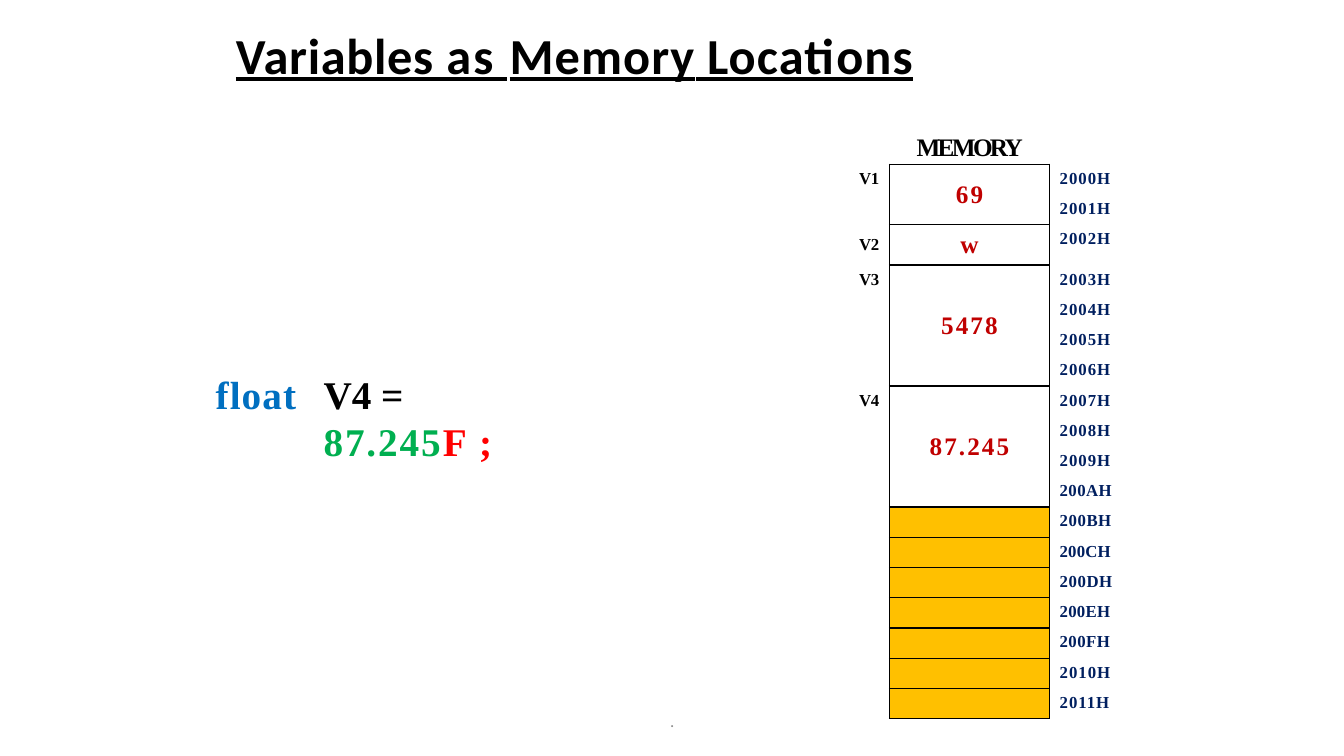
from lxml import etree
from pptx import Presentation
from pptx.dml.color import RGBColor
from pptx.enum.text import MSO_ANCHOR, PP_ALIGN
from pptx.oxml.ns import qn
from pptx.util import Inches, Pt

LEFT, CENTER = PP_ALIGN.LEFT, PP_ALIGN.CENTER
TOP, MIDDLE = MSO_ANCHOR.TOP, MSO_ANCHOR.MIDDLE

BLACK = RGBColor(0x00, 0x00, 0x00)
GRAY = RGBColor(0x8C, 0x8C, 0x8C)
BLUE = RGBColor(0x00, 0x6F, 0xC0)
GREEN = RGBColor(0x00, 0xAF, 0x50)
RED = RGBColor(0xFF, 0x00, 0x00)
VALUE_RED = RGBColor(0xC0, 0x00, 0x00)
NAVY = RGBColor(0x00, 0x1F, 0x5F)
AMBER = RGBColor(0xFF, 0xC0, 0x00)

SERIF, SANS = "Times New Roman", "Calibri"
PLAIN_TABLE = "{2D5ABB26-0587-4C30-8999-92F81FD0307C}"

# The page is a grid of 40 columns by 25 rows; one row holds one memory byte
WIDTH, HEIGHT = Inches(13.33), Inches(7.5)
COLUMN, ROW = WIDTH / 40, HEIGHT / 25

# Variable name, value and the first row and row count of its storage
VARIABLES = [("V1", "69", 1, 2), ("V2", "w", 3, 1),
             ("V3", "5478", 4, 4), ("V4", "87.245", 8, 4)]
FREE_ROWS = range(12, 19)
TALL_ROW = 3
# Addresses and their letter spacing
ADDRESSES = [(f"200{digit}H", 0.7) for digit in range(10)]
ADDRESSES += [("200AH", 0.3), ("200BH", 0.4), ("200CH", 0.1), ("200DH", 0.4),
              ("200EH", 0.2), ("200FH", 0.3), ("2010H", 0.7), ("2011H", 0.7)]


def add_span(para, text, size=12, color=BLACK, font=SERIF, bold=True,
             underline=None, spacing=0):
    """Append formatted text to a paragraph; spacing is in points."""
    span = para.add_run()
    span.text = text
    span.font.name, span.font.size = font, Pt(size)
    span.font.bold, span.font.underline = bold, underline
    span.font.color.rgb = color
    if spacing:
        span.font._element.set("spc", str(round(spacing * 100)))


class Page:
    def __init__(self, deck):
        self.slide = deck.slides.add_slide(deck.slide_layouts[5])

    def place(self, shape, left, top, width, height):
        shape.left, shape.top = round(left * COLUMN), round(top * ROW)
        shape.width, shape.height = round(width * COLUMN), round(height * ROW)

    def fill_text(self, shape, spans, align, anchor, **style):
        frame = shape.text_frame
        frame.word_wrap = True
        frame.vertical_anchor = anchor
        frame.margin_left = frame.margin_right = frame.margin_bottom = 0
        frame.margin_top = Inches(0.01)
        para = frame.paragraphs[0]
        para.alignment = align
        for text, changes in spans:
            add_span(para, text, **{**style, **changes})

    def title(self, spans, *area, **style):
        self.place(self.slide.shapes.title, *area)
        self.fill_text(self.slide.shapes.title, spans, LEFT, MIDDLE, **style)

    def text(self, spans, *area, align=LEFT, anchor=TOP, **style):
        box = self.slide.shapes.add_textbox(0, 0, 0, 0)
        self.place(box, *area)
        self.fill_text(box, spans, align, anchor, **style)

    def table(self, left, top, widths, heights):
        frame = self.slide.shapes.add_table(
            len(heights), len(widths), round(left * COLUMN), round(top * ROW),
            round(sum(widths) * COLUMN), round(sum(heights) * ROW))
        table = frame.table
        table.first_row = table.horz_banding = False
        frame._element.find(f".//{qn('a:tableStyleId')}").text = PLAIN_TABLE
        for column, width in zip(table.columns, widths):
            column.width = round(width * COLUMN)
        for row, height in zip(table.rows, heights):
            row.height = round(height * ROW)
        for cell in table.iter_cells():
            cell.margin_left = cell.margin_right = 0
            cell.margin_top = cell.margin_bottom = 0
            cell.fill.background()
            # Small end mark, so that empty cells keep their row height
            mark = etree.SubElement(cell.text_frame.paragraphs[0]._p,
                                    qn("a:endParaRPr"))
            mark.set("sz", "1000")
        return table

    def cell_text(self, cell, text, align=LEFT, anchor=TOP, indent=0, inset=0,
                  **style):
        cell.vertical_anchor = anchor
        cell.margin_top, cell.margin_left = Inches(inset), Inches(indent)
        para = cell.text_frame.paragraphs[0]
        para.alignment = align
        add_span(para, text, **style)

    def cell_borders(self, cell, sides):
        properties = cell._tc.get_or_add_tcPr()
        for index, side in enumerate(sides):
            line = etree.Element(qn(f"a:ln{side}"), w=str(Pt(1)))
            fill = etree.SubElement(line, qn("a:solidFill"))
            etree.SubElement(fill, qn("a:srgbClr"), val=str(BLACK))
            properties.insert(index, line)


def draw_memory(page):
    heights = [1] * (len(ADDRESSES) + 1)
    heights[TALL_ROW] = 4 / 3
    table = page.table(25.15, 4.43, [1.32, 4.77, 2.31], heights)

    # Heading
    table.cell(0, 0).merge(table.cell(0, 2))
    page.cell_text(table.cell(0, 0), "MEMORY", indent=0.71, size=18,
                   spacing=-1.9)

    # Variables: name and stored value
    for name, value, first, count in VARIABLES:
        last = first + count - 1
        single = count == 1
        page.cell_text(table.cell(first, 0), name, align=CENTER, indent=0.04,
                       anchor=MIDDLE if single else TOP,
                       inset=0 if single else 0.05, spacing=-0.1)
        for row in range(first, last + 1):
            sides = ["L", "R"] + ["T"] * (row == first) + ["B"] * (row == last)
            page.cell_borders(table.cell(row, 1), sides)
        if not single:
            table.cell(first, 1).merge(table.cell(last, 1))
        page.cell_text(table.cell(first, 1), value, align=CENTER,
                       anchor=MIDDLE, size=18, color=VALUE_RED,
                       spacing=0 if single else 1.5)

    # Free bytes
    for row in FREE_ROWS:
        cell = table.cell(row, 1)
        page.cell_borders(cell, ["L", "R", "T", "B"])
        cell.fill.solid()
        cell.fill.fore_color.rgb = AMBER

    # Addresses
    for row, (address, spacing) in enumerate(ADDRESSES, start=1):
        page.cell_text(table.cell(row, 2), address, indent=0.1, inset=0.05,
                       color=NAVY, spacing=spacing)


def main():
    deck = Presentation()
    deck.slide_width, deck.slide_height = WIDTH, HEIGHT
    page = Page(deck)

    page.title([("Variables ", {"spacing": 0.5}), ("as ", {"spacing": 1.6}),
                ("Memory", {}), (" ", {"spacing": -6.1}), ("Locations", {})],
               7.02, 0.73, 25.4, 2.07, size=36, font=SANS, underline=True,
               spacing=0.8)
    page.text([(".", {})], 13.26, 23.17, 13.5, 1.33, align=CENTER,
              anchor=MIDDLE, font=SANS, color=GRAY, bold=False)
    draw_memory(page)

    # Declaration
    page.text([("float", {})], 6.42, 12.2, 2.7, 1.63, size=28, color=BLUE,
              spacing=0.8)
    page.text([("V4 ", {}), ("= ", {"spacing": 0.6}),
               ("87.245", {"color": GREEN, "spacing": 1.4}),
               ("F ", {"color": RED, "spacing": 1.4}),
               (";", {"color": RED, "spacing": -1.6})],
              9.63, 12.2, 7.5, 1.63, size=28)
    deck.save("out.pptx")


if __name__ == "__main__":
    main()
